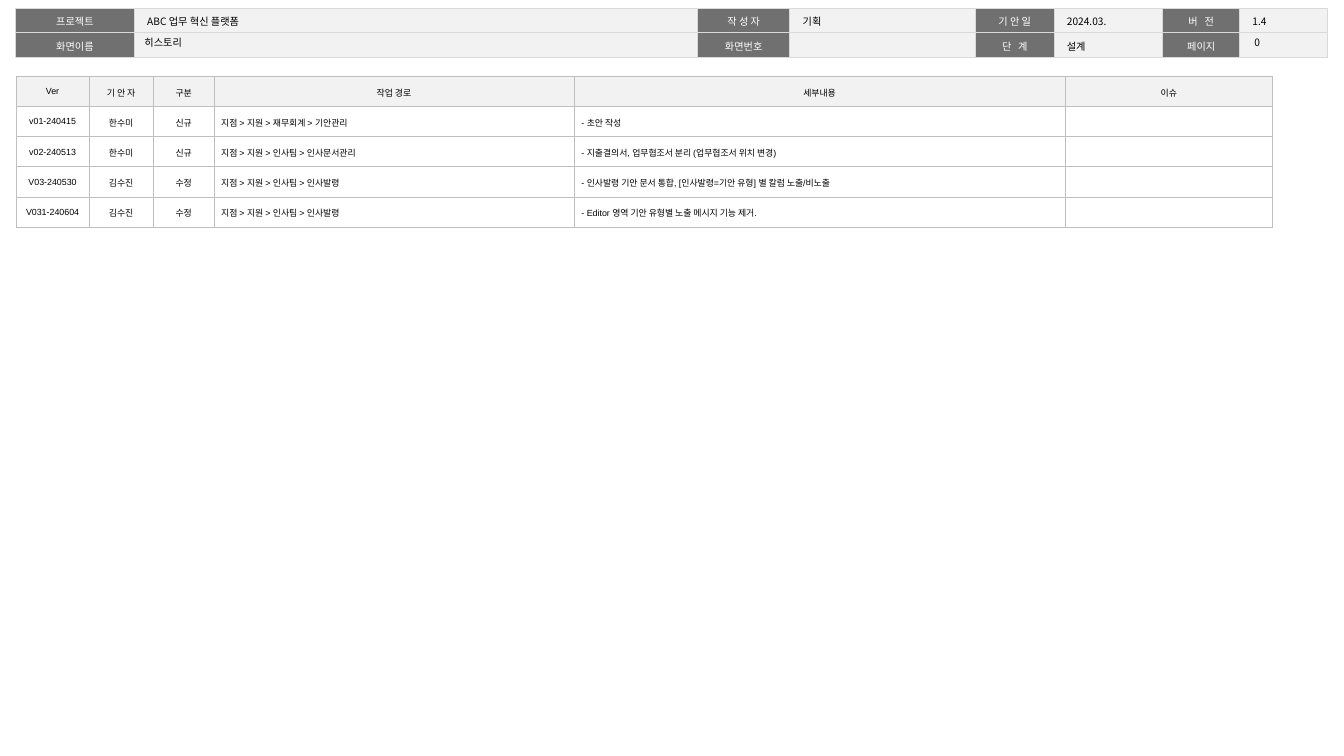
from lxml.etree import SubElement
from pptx import Presentation
from pptx.dml.color import RGBColor
from pptx.enum.text import MSO_ANCHOR as Anchor, MSO_AUTO_SIZE as AutoSize, PP_ALIGN as Align
from pptx.oxml.ns import qn
from pptx.util import Inches, Pt

KOREAN_FONT = "Noto Sans CJK KR"
BLACK, WHITE, PALE, LABEL_GRAY = "000000", "FFFFFF", "F2F2F2", "707070"

PROJECT_COLUMNS = [1.3, 6.16, 1.01, 2.03, 0.86, 1.19, 0.84, 0.96]
PROJECT_ROWS = [
    ["프로젝트", "ABC 업무 혁신 플랫폼", "작 성 자", "기획", "기 안 일", "2024.03.", "버 전", "1.4"],
    ["화면이름", "", "화면번호", "", "단 계", "설계", "페이지", ""],
]
WIDE_LABELS = ("버 전", "단 계")

HISTORY_COLUMNS = [0.79, 0.71, 0.66, 3.94, 5.37, 2.27]
HISTORY_ROWS = [
    ["Ver", "기 안 자", "구분", "작업 경로", "세부내용", "이슈"],
    ["v01-240415", "한수미", "신규", "지점 > 지원 > 재무회계 > 기안관리", "- 초안 작성", ""],
    ["v02-240513", "한수미", "신규", "지점 > 지원 > 인사팀 > 인사문서관리",
     "- 지출결의서, 업무협조서 분리 (업무협조서 위치 변경)", ""],
    ["V03-240530", "김수진", "수정", "지점 > 지원 > 인사팀 > 인사발령",
     "- 인사발령 기안 문서 통합, [인사발령=기안 유형] 별 칼럼 노출/비노출", ""],
    ["V031-240604", "김수진", "수정", "지점 > 지원 > 인사팀 > 인사발령",
     "- Editor 영역 기안 유형별 노출 메시지 기능 제거.", ""],
]


def rgb(color):
    return RGBColor.from_string(color)


def style_paragraph(paragraph, size, color=BLACK, font=KOREAN_FONT, align=Align.LEFT, spacing=1.0):
    paragraph.alignment = align
    paragraph.line_spacing = spacing
    paragraph.font.size = Pt(size)
    paragraph.font.name = font
    paragraph.font.bold = False
    paragraph.font.color.rgb = rgb(color)
    defaults = paragraph._p.pPr.find(qn("a:defRPr"))
    SubElement(defaults, qn("a:ea"), typeface=KOREAN_FONT)
    if not paragraph.runs:
        SubElement(paragraph._p, qn("a:endParaRPr"), sz=str(size * 100))


def set_margins(holder, left, top, right, bottom):
    holder.margin_left, holder.margin_right = Inches(left), Inches(right)
    holder.margin_top, holder.margin_bottom = Inches(top), Inches(bottom)


def set_borders(cell, color, width):
    properties = cell._tc.get_or_add_tcPr()
    for index, side in enumerate(("lnL", "lnR", "lnT", "lnB")):
        line = properties.makeelement(qn(f"a:{side}"), {"w": str(Pt(width))})
        SubElement(SubElement(line, qn("a:solidFill")), qn("a:srgbClr"), val=color)
        properties.insert(index, line)


def add_grid(slide, left, top, columns, row_height, rows, style_cell):
    """Add a plain table; style_cell(cell, row, column) formats each filled cell."""
    frame = slide.shapes.add_table(
        len(rows), len(columns), Inches(left), Inches(top),
        Inches(sum(columns)), Inches(row_height * len(rows)))
    table = frame.table
    table.first_row = table.horz_banding = False
    for column, width in zip(table.columns, columns):
        column.width = Inches(width)
    for r, texts in enumerate(rows):
        table.rows[r].height = Inches(row_height)
        for c, text in enumerate(texts):
            cell = table.cell(r, c)
            if text:
                cell.text = text
            style_cell(cell, r, c)
    return frame


def style_project_cell(cell, row, column):
    is_label = column % 2 == 0
    cell.fill.solid()
    cell.fill.fore_color.rgb = rgb(LABEL_GRAY if is_label else PALE)
    set_borders(cell, "D9D9D9", 1)
    set_margins(cell, 0.14, 0.05, 0.14, 0.05)
    label = cell.text_frame.paragraphs[0]
    style_paragraph(label, 8, WHITE if is_label else BLACK,
                    align=Align.CENTER if is_label else Align.LEFT, spacing=1.05)
    if cell.text in WIDE_LABELS:
        label.runs[0]._r.get_or_add_rPr().set("spc", "180")


def style_history_cell(cell, row, column):
    is_heading = row == 0
    cell.fill.solid()
    cell.fill.fore_color.rgb = rgb(PALE if is_heading else WHITE)
    set_borders(cell, "BFBFBF", 0.25)
    set_margins(cell, 0.08, 0.04, 0.08, 0.08)
    cell.vertical_anchor = Anchor.MIDDLE
    centred = is_heading or column < 3
    style_paragraph(cell.text_frame.paragraphs[0], 7, font="Arial",
                    align=Align.CENTER if centred else Align.LEFT, spacing=1.5)


def fill_field(box, text, left, top, width, side_margin):
    """Place a one-line value over an empty cell of the project table."""
    box.left, box.top, box.width, box.height = map(Inches, (left, top, width, 0.16))
    frame = box.text_frame
    frame.text = text
    frame.word_wrap = True
    frame.auto_size = AutoSize.NONE
    frame.vertical_anchor = Anchor.MIDDLE
    set_margins(frame, side_margin, 0.05, side_margin, 0.05)
    style_paragraph(frame.paragraphs[0], 8)


def add_project_header(slide, left, top):
    header = add_grid(slide, left, top, PROJECT_COLUMNS, 0.27, PROJECT_ROWS, style_project_cell)
    screen_name = slide.shapes.title
    screen_name.element.addprevious(header.element)
    fill_field(screen_name, "히스토리", left + PROJECT_COLUMNS[0], top + 0.29, 5.42, 0.11)
    page_number = slide.shapes.add_textbox(0, 0, 0, 0)
    fill_field(page_number, "0", left + 13.45, top + 0.29, 0.72, 0.1)


def add_history(slide, left, top):
    add_grid(slide, left, top, HISTORY_COLUMNS, 0.33, HISTORY_ROWS, style_history_cell)


def main():
    deck = Presentation()
    deck.slide_width, deck.slide_height = Inches(14.7), Inches(8.27)
    slide = deck.slides.add_slide(deck.slide_layouts[5])
    add_project_header(slide, 0.17, 0.09)
    add_history(slide, 0.18, 0.83)
    deck.save("out.pptx")


if __name__ == "__main__":
    main()
